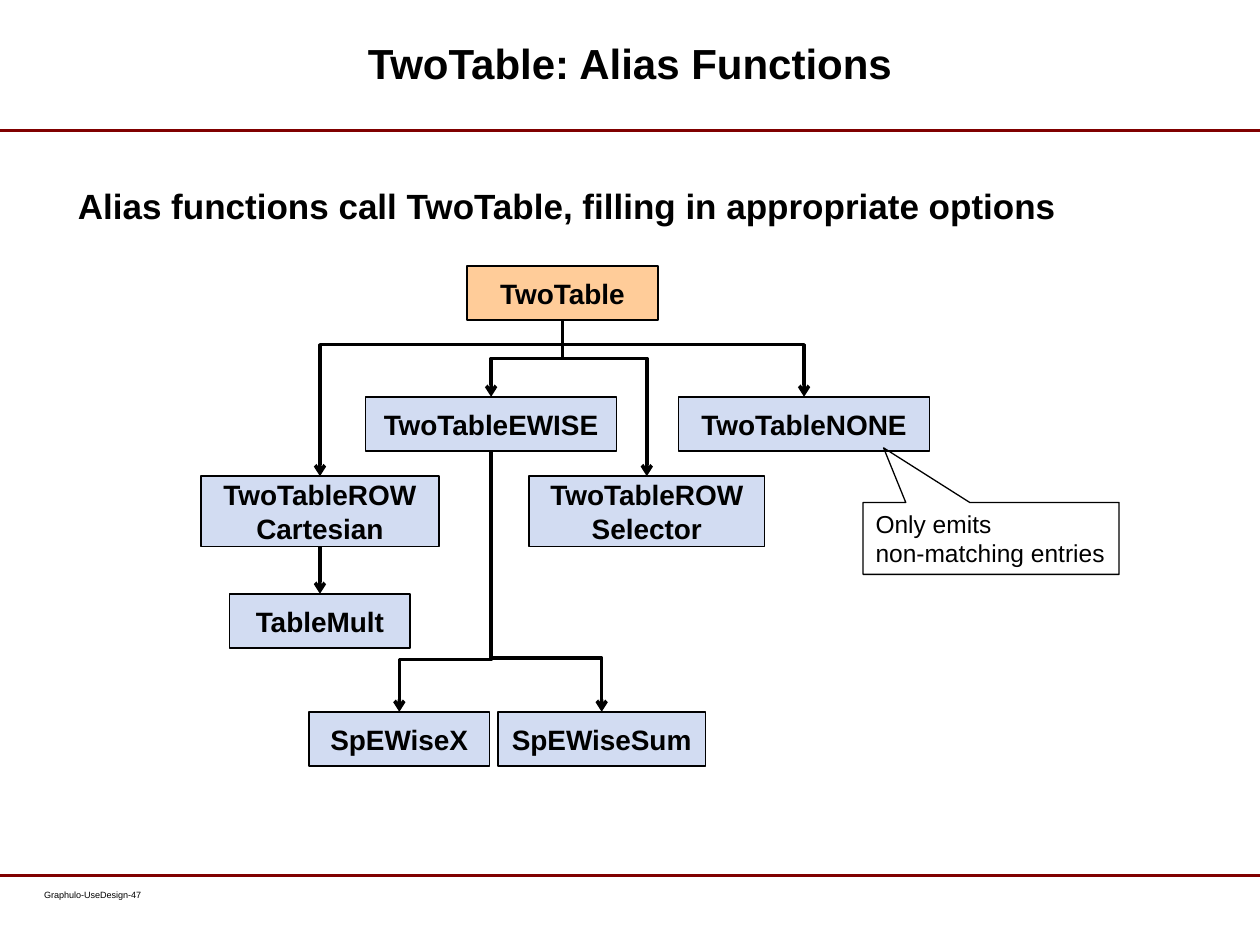
from lxml.etree import SubElement
from pptx import Presentation
from pptx.dml.color import RGBColor
from pptx.enum.shapes import MSO_CONNECTOR, MSO_SHAPE
from pptx.enum.text import MSO_ANCHOR, PP_ALIGN
from pptx.oxml.ns import qn
from pptx.util import Cm, Pt

COLORS = {"ink": "000000", "rule": "800000", "root": "FFCC99", "alias": "D2DCF2"}
FONT = "Arial"
SLIDE_WIDTH, SLIDE_HEIGHT = 25.4, 19.05
RULE_TOPS = [2.64, 17.65]

TITLE = "TwoTable: Alias Functions"
LEAD = "Alias functions call TwoTable, filling in appropriate options"
FOOTER = "Graphulo-UseDesign-47"
NOTE = "Only emits\vnon-matching entries"

# name: (label, centre, top, width, height, colour)
BOXES = {
    "root": ("TwoTable", 11.34, 5.36, 3.84, 1.1, "root"),
    "cartesian": ("TwoTableROW\vCartesian", 6.45, 9.6, 4.8, 1.42, "alias"),
    "ewise": ("TwoTableEWISE", 9.9, 8, 5.06, 1.1, "alias"),
    "selector": ("TwoTableROW\nSelector", 13.04, 9.6, 4.75, 1.42, "alias"),
    "none": ("TwoTableNONE", 16.21, 8, 5.06, 1.1, "alias"),
    "mult": ("TableMult", 6.45, 11.97, 3.64, 1.1, "alias"),
    "times": ("SpEWiseX", 8.05, 14.35, 3.64, 1.1, "alias"),
    "sum": ("SpEWiseSum", 12.13, 14.35, 4.19, 1.1, "alias"),
}
# caller, alias, drop from the caller to the bend
LINKS = [
    ("cartesian", "mult", 0),
    ("root", "cartesian", 0.49),
    ("root", "none", 0.49),
    ("ewise", "times", 4.2),
    ("ewise", "sum", 4.17),
    ("root", "ewise", 0.77),
    ("root", "selector", 0.77),
]


def color(name):
    return RGBColor.from_string(COLORS[name])


def write(shape, text, size, bold=False, align=PP_ALIGN.LEFT,
          anchor=MSO_ANCHOR.TOP, insets=(0.25, 0.13, 0.25, 0.13), spacing=None):
    frame = shape.text_frame
    frame.word_wrap = True
    frame.vertical_anchor = anchor
    (frame.margin_left, frame.margin_top,
     frame.margin_right, frame.margin_bottom) = map(Cm, insets)
    frame.text = text
    for paragraph in frame.paragraphs:
        paragraph.alignment = align
        if spacing:
            paragraph.line_spacing = Pt(spacing)
        for span in paragraph.runs:
            span.font.name = FONT
            span.font.size = Pt(size)
            span.font.bold = bold
            span.font.color.rgb = color("ink")


def add_text(page, place, text, **style):
    write(page.shapes.add_textbox(*map(Cm, place)), text, **style)


def outline(shape, width, name="ink"):
    shape.line.color.rgb = color(name)
    shape.line.width = Pt(width)


def add_line(page, kind, start, end, width, name="ink"):
    line = page.shapes.add_connector(kind, *map(Cm, start + end))
    outline(line, width, name)
    SubElement(line._element.spPr, qn("a:effectLst"))
    return line


def add_box(page, label, centre, top, width, height, fill):
    box = page.shapes.add_shape(
        MSO_SHAPE.RECTANGLE, Cm(centre - width / 2), Cm(top), Cm(width), Cm(height))
    box.shadow.inherit = False
    box.fill.solid()
    box.fill.fore_color.rgb = color(fill)
    outline(box, 1)
    write(box, label, 16, bold=True, align=PP_ALIGN.CENTER,
          anchor=MSO_ANCHOR.MIDDLE, insets=(0, 0, 0, 0))
    return box


def turn_elbow(line, start, end, bend):
    (x1, y1), (x2, y2) = start, end
    drop, shift = y2 - y1, abs(x2 - x1)
    line.left, line.top = Cm((x1 + x2 - drop) / 2), Cm((y1 + y2 - shift) / 2)
    line.width, line.height = Cm(drop), Cm(shift)
    rightward = x2 > x1
    properties = line._element.spPr
    frame = properties.find(qn("a:xfrm"))
    frame.set("rot", str((270 if rightward else 90) * 60000))
    frame.set("flipH", str(int(rightward)))
    frame.set("flipV", "0")
    guides = properties.find(qn("a:prstGeom")).find(qn("a:avLst"))
    SubElement(guides, qn("a:gd"), name="adj1", fmla=f"val {round(bend / drop * 100000)}")


def add_link(page, boxes, caller, alias, bend):
    _, x1, top, _, height, _ = BOXES[caller]
    _, x2, y2, *_ = BOXES[alias]
    start, end = (x1, top + height), (x2, y2)
    kind = MSO_CONNECTOR.ELBOW if bend else MSO_CONNECTOR.STRAIGHT
    line = add_line(page, kind, start, end, 2)
    line.begin_connect(boxes[caller], 2)
    line.end_connect(boxes[alias], 0)
    if bend:
        turn_elbow(line, start, end, bend)
    SubElement(line.line._get_or_add_ln(), qn("a:tailEnd"), type="arrow")


def add_note(page):
    note = page.shapes.add_shape(
        MSO_SHAPE.RECTANGULAR_CALLOUT, Cm(17.4), Cm(10.13), Cm(5.16), Cm(1.45))
    note.adjustments[0], note.adjustments[1] = -0.42, -1.26
    note.shadow.inherit = False
    note.fill.background()
    outline(note, 0.75)
    write(note, NOTE, 14, insets=(0.25, 0.13, 0, 0.13))


def main():
    deck = Presentation()
    deck.slide_width, deck.slide_height = Cm(SLIDE_WIDTH), Cm(SLIDE_HEIGHT)
    page = deck.slides.add_slide(deck.slide_layouts[6])
    for top in RULE_TOPS:
        add_line(page, MSO_CONNECTOR.STRAIGHT, (0, top), (SLIDE_WIDTH, top), 1.75, "rule")
    add_text(page, (0.89, 17.93, 3.02, 0.61), FOOTER, size=5.2, insets=(0, 0, 0, 0))
    add_text(page, (2.62, 0.28, 20.16, 2.26), TITLE, size=24, bold=True,
             align=PP_ALIGN.CENTER, anchor=MSO_ANCHOR.MIDDLE, spacing=21)
    add_text(page, (1.32, 3.58, 22.76, 13.41), LEAD, size=20, bold=True)
    boxes = {name: add_box(page, *parts) for name, parts in BOXES.items()}
    for link in LINKS:
        add_link(page, boxes, *link)
    add_note(page)
    deck.save("out.pptx")


if __name__ == "__main__":
    main()
